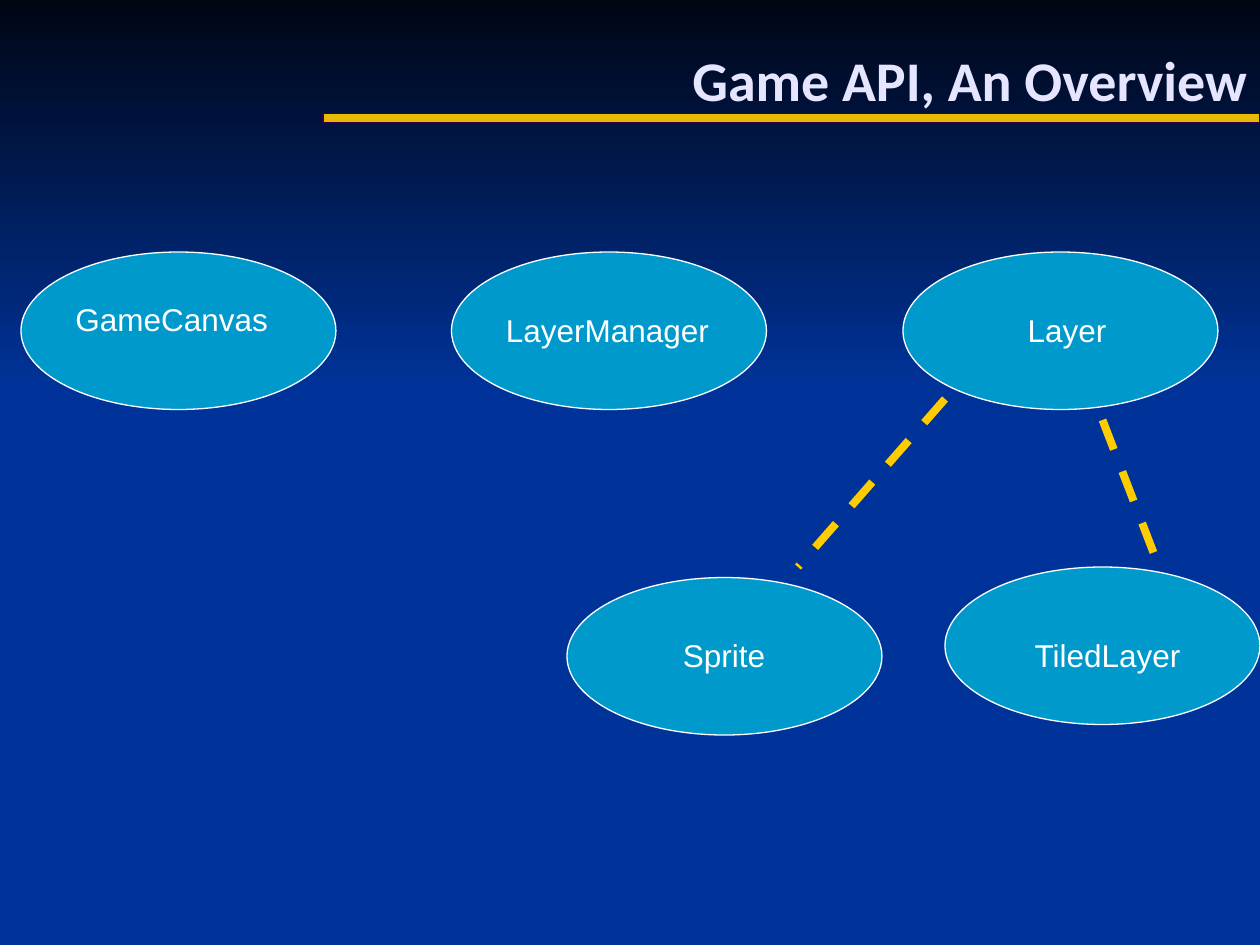
"""Build the Game API overview slide with its class ellipses and inheritance lines."""
import pptx
import pptx.dml.color
import pptx.enum.dml
import pptx.enum.shapes
import pptx.enum.text
import pptx.oxml
import pptx.oxml.ns
import pptx.util

Pt = pptx.util.Pt
Shape = pptx.enum.shapes.MSO_SHAPE
Align = pptx.enum.text.PP_ALIGN
Anchor = pptx.enum.text.MSO_ANCHOR

THEME = {
    "background": "003399", "night": "000514", "gold": "FFCC00", "rule_edge": "380147",
    "ellipse": "0099CC", "white": "FFFFFF", "title": "E5E5FF",
    "title_font": "Calibri", "label_font": "Arial", "title_size": 32, "label_size": 18,
}
SLIDE_SIZE = (720, 540)
SKY_HEIGHT = 222.5
TITLE = "Game API, An Overview"
TITLE_BOX = (72, 0, 648, 90)
RULE_BOX = (184.5, 65, 535.5, 5)
ELLIPSE_SIZE = (180, 90)
LABEL_SIZE = (132, 29)
INSET = 7.2

# name, ellipse corner, label corner, label indent
CLASSES = [
    ("TiledLayer", (540, 324), (564, 360), 20),
    ("Sprite", (324, 330), (348, 360), 35),
    ("GameCanvas", (12, 144), (36, 168), 0),
    ("LayerManager", (258, 144), (282, 174), 0),
    ("Layer", (516, 144), (540, 174), 40),
]
INHERITANCE_LINES = [(540, 228, 456, 324), (630, 240, 660, 318)]


def color(name):
    """Return the theme colour with this name."""
    return pptx.dml.color.RGBColor.from_string(THEME[name])


def points(values):
    """Convert plain numbers to lengths in points."""
    return [Pt(value) for value in values]


def add_shape(slide, kind, box, fill, line=None):
    """Add a preset shape with a solid fill and an optional thin outline."""
    shape = slide.shapes.add_shape(kind, *points(box))
    shape.shadow.inherit = False
    shape.fill.solid()
    shape.fill.fore_color.rgb = color(fill)
    if line:
        shape.line.color.rgb = color(line)
        shape.line.width = Pt(0.75)
    else:
        shape.line.fill.background()
    return shape


def add_text(slide, text, box, *, style, ink, bold=False, align=Align.LEFT,
             anchor=Anchor.TOP, indent=0):
    """Add a one-paragraph text box in a theme style."""
    frame = slide.shapes.add_textbox(*points(box)).text_frame
    frame.word_wrap = True
    frame.vertical_anchor = anchor
    frame.margin_left = Pt(INSET + indent)
    paragraph = frame.paragraphs[0]
    paragraph.text = text
    paragraph.alignment = align
    font = paragraph.font
    font.name = THEME[style + "_font"]
    font.size = Pt(THEME[style + "_size"])
    font.bold = bold
    font.color.rgb = color(ink)


def add_dashed_line(slide, ends):
    """Add a thick dashed gold line."""
    connector = slide.shapes.add_connector(
        pptx.enum.shapes.MSO_CONNECTOR.STRAIGHT, *points(ends))
    connector.line.color.rgb = color("gold")
    connector.line.width = Pt(4.5)
    connector.line.dash_style = pptx.enum.dml.MSO_LINE.DASH
    properties = connector.element.spPr
    properties.append(pptx.oxml.parse_xml(
        "<a:effectLst %s/>" % pptx.oxml.ns.nsdecls("a")))


def add_backdrop(slide):
    """Paint the blue background, the dark sky and the gold rule."""
    slide.background.fill.solid()
    slide.background.fill.fore_color.rgb = color("background")
    sky = add_shape(slide, Shape.RECTANGLE, (0, 0, SLIDE_SIZE[0], SKY_HEIGHT), "background")
    sky.fill.gradient()
    sky.fill.gradient_angle = 270
    for stop, name in zip(sky.fill.gradient_stops, ("night", "background")):
        stop.color.rgb = color(name)
    rule = add_shape(slide, Shape.RECTANGLE, RULE_BOX, "gold", "rule_edge")
    fill_color = rule.element.spPr.find(
        pptx.oxml.ns.qn("a:solidFill")).find(pptx.oxml.ns.qn("a:srgbClr"))
    fill_color.append(pptx.oxml.parse_xml(
        '<a:alpha %s val="90000"/>' % pptx.oxml.ns.nsdecls("a")))


def main():
    """Assemble and save the slide."""
    presentation = pptx.Presentation()
    presentation.slide_width, presentation.slide_height = points(SLIDE_SIZE)
    slide = presentation.slides.add_slide(presentation.slide_layouts[6])
    add_backdrop(slide)
    add_text(slide, TITLE, TITLE_BOX, style="title", ink="title", bold=True,
             align=Align.RIGHT, anchor=Anchor.MIDDLE)
    for _, corner, _, _ in CLASSES:
        add_shape(slide, Shape.OVAL, corner + ELLIPSE_SIZE, "ellipse", "white")
    for name, _, corner, indent in CLASSES:
        add_text(slide, name, corner + LABEL_SIZE, style="label", ink="white", indent=indent)
    for ends in INHERITANCE_LINES:
        add_dashed_line(slide, ends)
    presentation.save("out.pptx")


if __name__ == "__main__":
    main()
